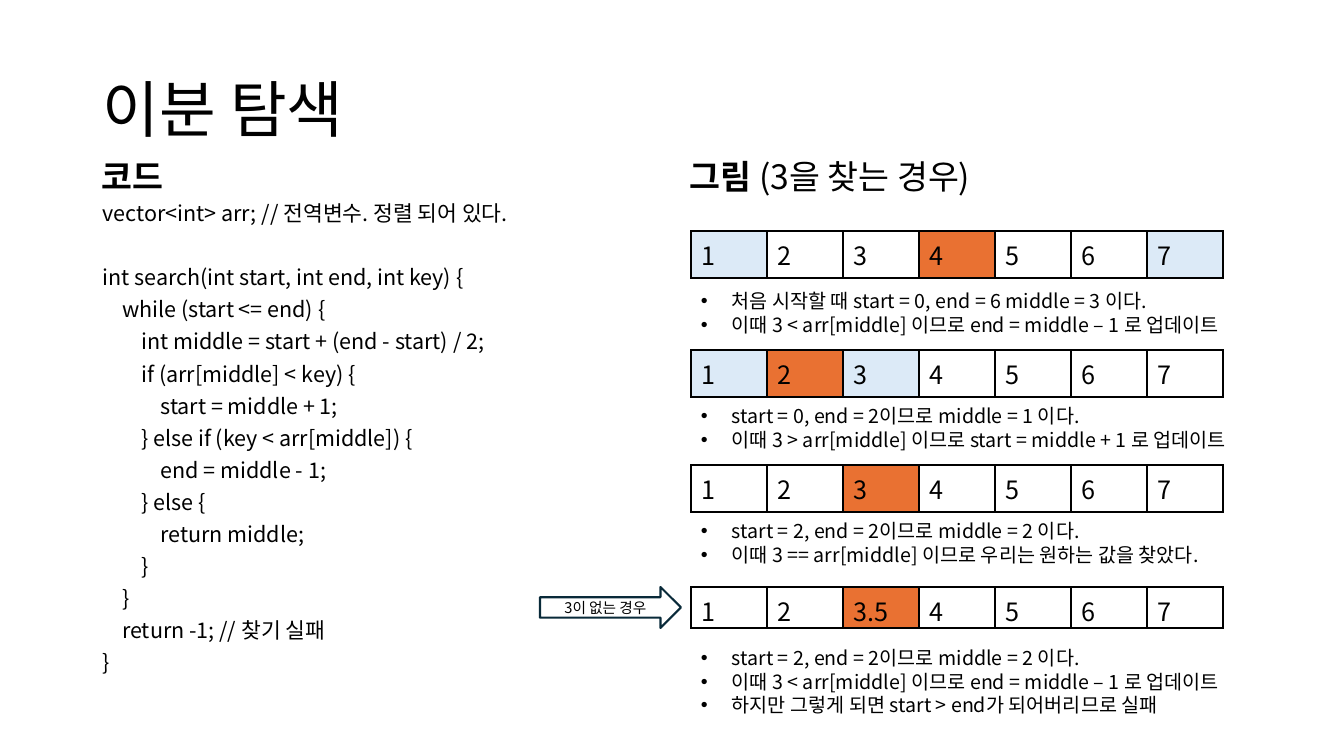
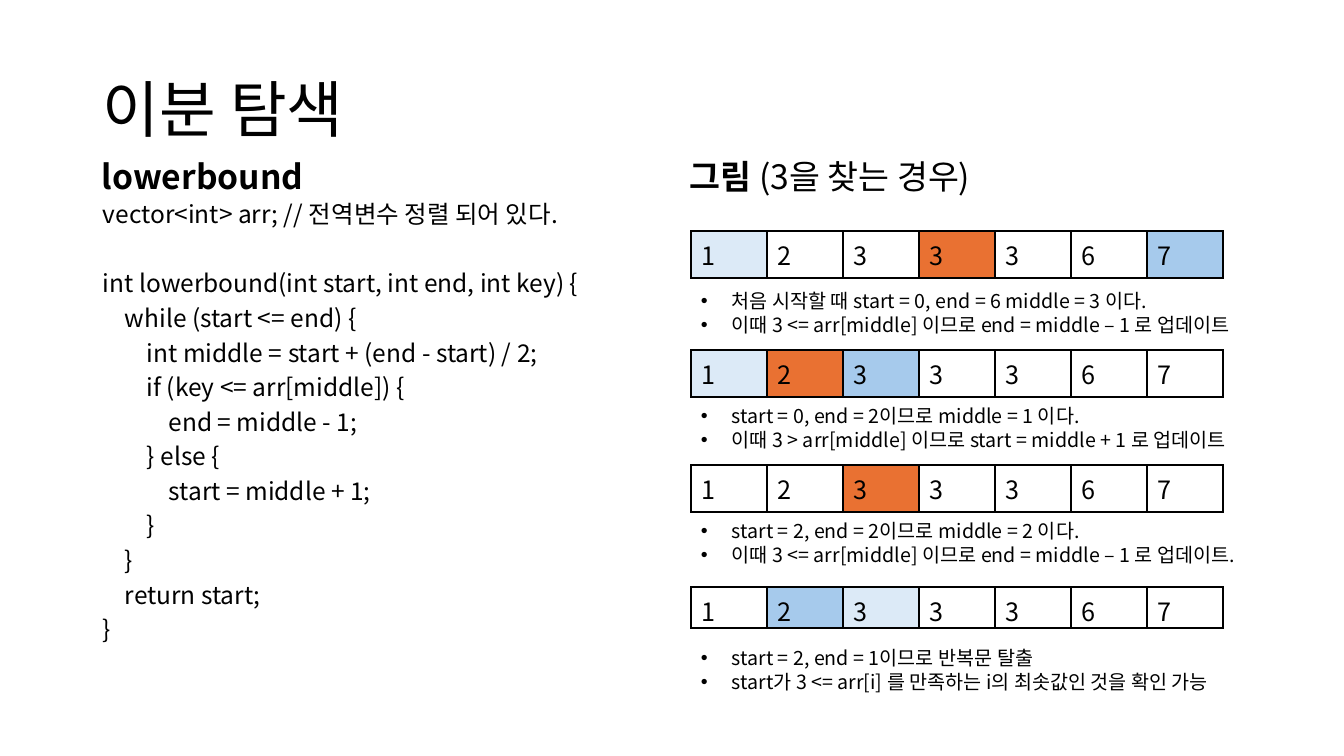
import pptx
import pptx.dml.color
import pptx.enum.shapes
import pptx.enum.text
import pptx.oxml.ns
import pptx.util
from lxml import etree

FONT = "Noto Sans CJK KR"
BLACK, OUTLINE = "000000", "092A39"
MIDDLE, PALE, BLUE = "E97132", "DCEAF7", "A6CAEC"
EMU_PER_PX = 914400 / 100.8
SLIDE_SIZE = (1344, 756)

TITLE = "이분 탐색"
PICTURE_HEADING = [("그림 ", True), ("(3을 찾는 경우)", False)]
TITLE_AREA = (93, 40, 1159, 146)
CODE_HEADING_AREA = (92, 159, 568, 42)
PICTURE_HEADING_AREA = (680, 159, 572, 42)
CODE_AREA = (93, 202, 580, 481)
ARROW_AREA = (540, 587, 141, 41)
STEP_LEFT, CELL_WIDTH, NOTE_WIDTH, NOTE_INDENT = 691, 76, 609, 31
NOTE_LINE, NOTE_PADDING = 24, 10
STEP_ROWS = [(231, 47, 284), (350, 47, 399), (465, 47, 514), (587, 41, 641)]
CODE_GAP, CODE_SPACING, LINE_HEIGHT = 10, 0.7, 1.2

SEARCH_CODE = """vector<int> arr; // 전역변수. 정렬 되어 있다.

int search(int start, int end, int key) {
    while (start <= end) {
        int middle = start + (end - start) / 2;
        if (arr[middle] < key) {
            start = middle + 1;
        } else if (key < arr[middle]) {
            end = middle - 1;
        } else {
            return middle;
        }
    }
    return -1; // 찾기 실패
}"""

LOWERBOUND_CODE = """vector<int> arr; // 전역변수 정렬 되어 있다.

int lowerbound(int start, int end, int key) {
    while (start <= end) {
        int middle = start + (end - start) / 2;
        if (key <= arr[middle]) {
            end = middle - 1;
        } else {
            start = middle + 1;
        }
    }
    return start;
}"""

FIRST = "처음 시작할 때 start = 0, end = 6 middle = 3 이다."
SECOND = "start = 0, end = 2이므로 middle = 1 이다."
THIRD = "start = 2, end = 2이므로 middle = 2 이다."
GO_LEFT = "이때 3 < arr[middle] 이므로 end = middle – 1 로 업데이트"
GO_LEFT_EQUAL = "이때 3 <= arr[middle] 이므로 end = middle – 1 로 업데이트"
GO_RIGHT = "이때 3 > arr[middle] 이므로 start = middle + 1 로 업데이트"

SLIDES = [
    {
        "heading": "코드", "code": SEARCH_CODE, "code_size": 15.4,
        "arrow": "3이 없는 경우",
        "steps": [
            ("1 2 3 4 5 6 7", {0: PALE, 3: MIDDLE, 6: PALE}, [FIRST, GO_LEFT]),
            ("1 2 3 4 5 6 7", {0: PALE, 1: MIDDLE, 2: PALE}, [SECOND, GO_RIGHT]),
            ("1 2 3 4 5 6 7", {2: MIDDLE},
             [THIRD, "이때 3 == arr[middle] 이므로 우리는 원하는 값을 찾았다."]),
            ("1 2 3.5 4 5 6 7", {2: MIDDLE},
             [THIRD, GO_LEFT, "하지만 그렇게 되면 start > end가 되어버리므로 실패"]),
        ],
    },
    {
        "heading": "lowerbound", "code": LOWERBOUND_CODE, "code_size": 17.5,
        "arrow": None,
        "steps": [
            ("1 2 3 3 3 6 7", {0: PALE, 3: MIDDLE, 6: BLUE}, [FIRST, GO_LEFT_EQUAL]),
            ("1 2 3 3 3 6 7", {0: PALE, 1: MIDDLE, 2: BLUE}, [SECOND, GO_RIGHT]),
            ("1 2 3 3 3 6 7", {2: MIDDLE}, [THIRD, GO_LEFT_EQUAL + "."]),
            ("1 2 3 3 3 6 7", {1: BLUE, 2: PALE},
             ["start = 2, end = 1이므로 반복문 탈출",
              "start가 3 <= arr[i] 를 만족하는 i의 최솟값인 것을 확인 가능"]),
        ],
    },
]


def px(length):
    return pptx.util.Emu(round(length * EMU_PER_PX))


def colour(value):
    return pptx.dml.color.RGBColor.from_string(value)


def add_element(parent, tag, **attributes):
    return etree.SubElement(parent, pptx.oxml.ns.qn(tag), attributes)


def style(para, size):
    font = para.font
    font.name, font.size = FONT, pptx.util.Pt(size)
    font.color.rgb = colour(BLACK)
    add_element(font._element, "a:ea", typeface=FONT)


def add_box(page, area, lines, size, middle=False, spacing=None):
    box = page.shapes.add_textbox(*map(px, area))
    frame = box.text_frame
    frame.word_wrap = True
    if middle:
        frame.vertical_anchor = pptx.enum.text.MSO_ANCHOR.MIDDLE
    for index, spans in enumerate(lines):
        para = frame.paragraphs[0] if index == 0 else frame.add_paragraph()
        for text, bold in spans:
            span = para.add_run()
            span.text, span.font.bold = text, bold
        if spacing:
            para.line_spacing = spacing
        style(para, size)
    return frame


def add_code(page, code, size):
    lines = code.split("\n")
    shown = [[(line, False)] for line in lines if line]
    frame = add_box(page, CODE_AREA, shown, size, spacing=CODE_SPACING)
    paras = iter(frame.paragraphs)
    gap = 0
    for line in lines:
        if line:
            next(paras).space_before = pptx.util.Pt(gap)
            gap = CODE_GAP
        else:
            gap += round(size * LINE_HEIGHT * CODE_SPACING) + CODE_GAP


def add_notes(page, top, notes):
    height = NOTE_LINE * len(notes) + NOTE_PADDING
    frame = add_box(page, (STEP_LEFT, top, NOTE_WIDTH, height), [], 14)
    for index, note in enumerate(notes):
        para = frame.paragraphs[0] if index == 0 else frame.add_paragraph()
        para.text = note
        properties = para._p.get_or_add_pPr()
        properties.set("marL", str(px(NOTE_INDENT)))
        properties.set("indent", str(px(-NOTE_INDENT)))
        add_element(properties, "a:buFont", typeface="Arial")
        add_element(properties, "a:buChar", char="•")
        style(para, 14)


def add_array(page, top, height, values, marks):
    area = (STEP_LEFT, top, CELL_WIDTH * len(values), height)
    table = page.shapes.add_table(1, len(values), *map(px, area)).table
    table.first_row = table.horz_banding = False
    for index, value in enumerate(values):
        table.columns[index].width = px(CELL_WIDTH)
        cell = table.cell(0, index)
        cell.text = value
        style(cell.text_frame.paragraphs[0], 18)
        properties = cell._tc.get_or_add_tcPr()
        for side in ("a:lnL", "a:lnR", "a:lnT", "a:lnB"):
            line = add_element(properties, side, w=str(pptx.util.Pt(1)))
            fill = add_element(line, "a:solidFill")
            add_element(fill, "a:srgbClr", val=BLACK)
        if index in marks:
            cell.fill.solid()
            cell.fill.fore_color.rgb = colour(marks[index])
        else:
            cell.fill.background()


def add_arrow(page, text):
    kind = pptx.enum.shapes.MSO_SHAPE.RIGHT_ARROW
    arrow = page.shapes.add_shape(kind, *map(px, ARROW_AREA))
    arrow.shadow.inherit = False
    arrow.fill.background()
    arrow.line.color.rgb = colour(OUTLINE)
    arrow.line.width = pptx.util.Pt(1.5)
    frame = arrow.text_frame
    frame.word_wrap = True
    frame.vertical_anchor = pptx.enum.text.MSO_ANCHOR.MIDDLE
    para = frame.paragraphs[0]
    para.text = text
    para.alignment = pptx.enum.text.PP_ALIGN.CENTER
    style(para, 10.5)


def add_page(deck, content):
    page = deck.slides.add_slide(deck.slide_layouts[6])
    add_box(page, TITLE_AREA, [[(TITLE, False)]], 44, True, 0.9)
    add_box(page, CODE_HEADING_AREA, [[(content["heading"], True)]], 24, True, 0.8)
    add_box(page, PICTURE_HEADING_AREA, [PICTURE_HEADING], 24, True, 0.8)
    add_code(page, content["code"], content["code_size"])
    for (top, height, note_top), (values, marks, notes) in zip(STEP_ROWS, content["steps"]):
        add_array(page, top, height, values.split(), marks)
        add_notes(page, note_top, notes)
    if content["arrow"]:
        add_arrow(page, content["arrow"])


def main():
    deck = pptx.Presentation()
    deck.slide_width, deck.slide_height = map(px, SLIDE_SIZE)
    for content in SLIDES:
        add_page(deck, content)
    deck.save("out.pptx")


if __name__ == "__main__":
    main()
